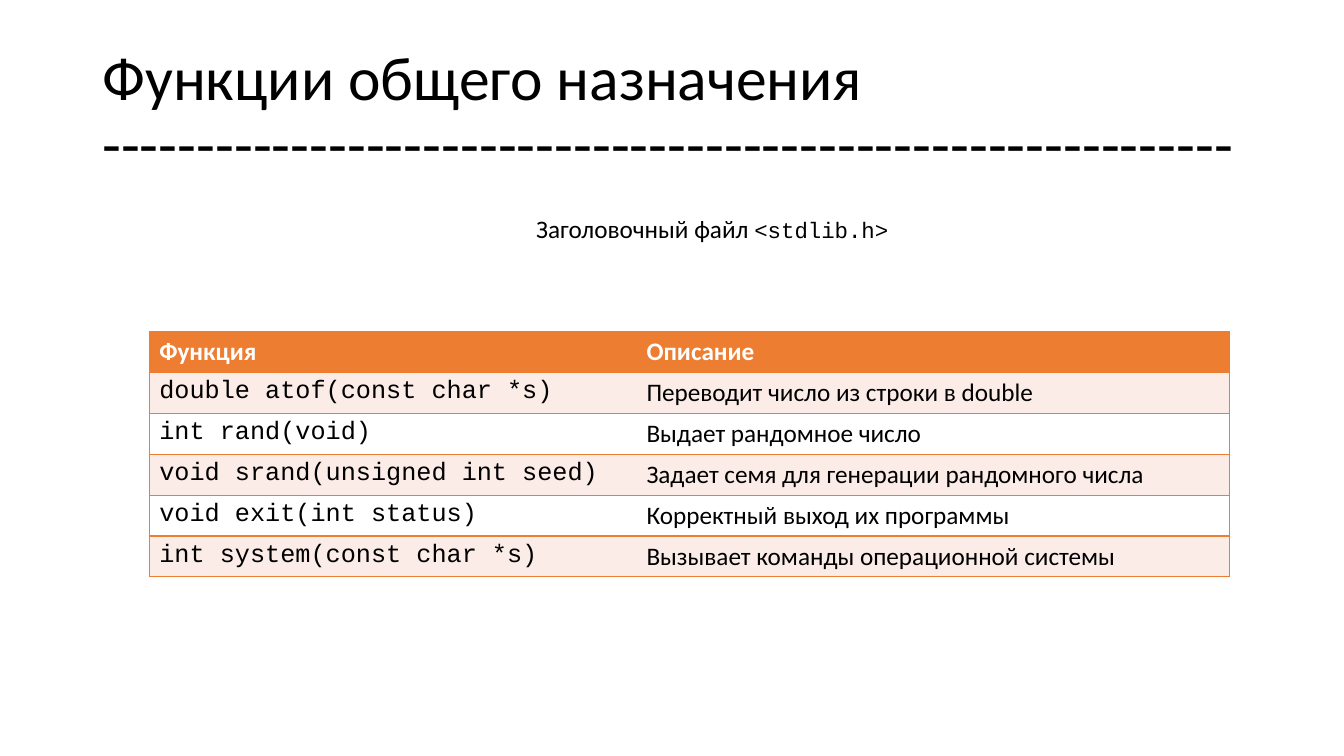
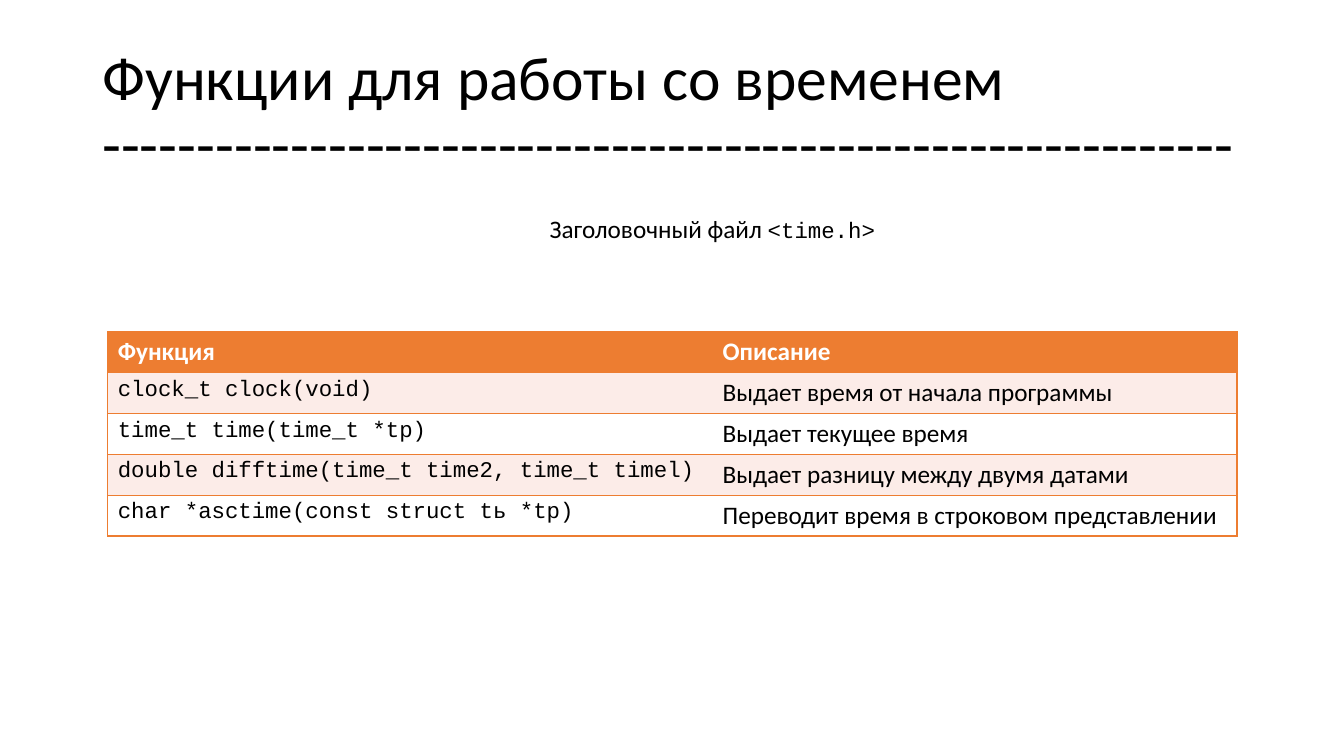
"""Two slides listing C library functions, each with a titled table."""
from dataclasses import dataclass

from lxml.etree import fromstring
from pptx import Presentation
from pptx.dml.color import RGBColor
from pptx.enum.text import MSO_ANCHOR, PP_ALIGN
from pptx.util import Pt

PAGES = [
    {
        "title": "Функции общего назначения",
        "file": "<stdlib.h> ",
        "left": 106.6,
        "cols": (348, 423.6),
        "code": 18,
        "rows": [
            ("double atof(const char *s)", "Переводит число из строки в double"),
            ("int rand(void)", "Выдает рандомное число"),
            ("void srand(unsigned int seed)", "Задает семя для генерации рандомного числа"),
            ("void exit(int status)", "Корректный выход их программы"),
            ("int system(const char *s)", "Вызывает команды операционной системы"),
        ],
    },
    {
        "title": "Функции для работы со временем",
        "file": "<time.h> ",
        "left": 77,
        "cols": (432, 374.6),
        "code": 16,
        "rows": [
            ("clock_t clock(void)", "Выдает время от начала программы"),
            ("time_t time(time_t *tp)", "Выдает текущее время"),
            ("double difftime(time_t time2, time_t timel)", "Выдает разницу между двумя датами"),
            ("char *asctime(const struct tь *tp)", "Переводит время в строковом представлении"),
        ],
    },
]
HEAD = ("Функция", "Описание")
LABEL = "Заголовочный файл "
RULE = "-" * 60
TITLE_BOX = (66, 28.8, 828, 104.4)
LABEL_BOX = (273.6, 149, 480, 29)
TABLE_TOP, ROW_H = 236.9, 29.2
NO_STYLE = "{2D5ABB26-0587-4C30-8999-92F81FD0307C}"
NS = "http://schemas.openxmlformats.org/drawingml/2006/main"


@dataclass(frozen=True)
class Theme:
    """Colours, fonts and type sizes."""
    ink: str = "000000"
    paper: str = "FFFFFF"
    accent: str = "ED7D31"
    tint: str = "FCECE8"
    sans: str = "Calibri"
    mono: str = "Courier New"
    title: int = 44
    body: int = 18
    code: int = 16
    line: int = 1


T = Theme()


def style(run, size, face=T.sans, color=T.ink, bold=False):
    """Format one run."""
    font = run.font
    font.size, font.name, font.bold = Pt(size), face, bold
    font.color.rgb = RGBColor.from_string(color)


def add_text(slide, box):
    """Add a wrapping text box and return its frame."""
    frame = slide.shapes.add_textbox(*map(Pt, box)).text_frame
    frame.word_wrap = True
    return frame


def add_title(slide, text):
    """Add the title with its dashed rule below."""
    frame = add_text(slide, TITLE_BOX)
    frame.vertical_anchor = MSO_ANCHOR.MIDDLE
    frame.text = f"{text}\v{RULE}"
    par = frame.paragraphs[0]
    par.line_spacing = 0.9
    for run in par.runs:
        style(run, T.title)


def add_label(slide, name):
    """Add the centred header file line."""
    par = add_text(slide, LABEL_BOX).paragraphs[0]
    par.alignment = PP_ALIGN.CENTER
    for text, size, face in ((LABEL, T.body, T.sans), (name, T.code, T.mono)):
        run = par.add_run()
        run.text = text
        style(run, size, face)


def add_edges(cell, sides):
    """Draw accent lines on the given sides of a cell."""
    for i, side in enumerate(sides):
        edge = fromstring(
            f'<a:ln{side} xmlns:a="{NS}" w="{Pt(T.line)}"><a:solidFill>'
            f'<a:srgbClr val="{T.accent}"/></a:solidFill></a:ln{side}>')
        cell._tc.get_or_add_tcPr().insert(i, edge)


def add_grid(slide, page):
    """Add the table of functions."""
    rows = [HEAD, *page["rows"]]
    cols = page["cols"]
    box = (page["left"], TABLE_TOP, sum(cols), ROW_H * len(rows))
    table = slide.shapes.add_table(len(rows), len(cols), *map(Pt, box)).table
    table.horz_banding = False
    table._tbl.tblPr.find(f"{{{NS}}}tableStyleId").text = NO_STYLE
    for col, width in zip(table.columns, cols):
        col.width = Pt(width)
    for r, row in enumerate(rows):
        table.rows[r].height = Pt(ROW_H)
        fill = T.accent if r == 0 else (T.paper, T.tint)[r % 2]
        for c, text in enumerate(row):
            cell = table.cell(r, c)
            cell.text = text
            run = cell.text_frame.paragraphs[0].runs[0]
            if r == 0:
                style(run, T.body, color=T.paper, bold=True)
            elif c == 0:
                style(run, page["code"], T.mono)
            else:
                style(run, T.body)
            cell.fill.solid()
            cell.fill.fore_color.rgb = RGBColor.from_string(fill)
            add_edges(cell, ("LTB", "RTB")[c])


deck = Presentation()
deck.slide_width, deck.slide_height = Pt(960), Pt(540)
for page in PAGES:
    slide = deck.slides.add_slide(deck.slide_layouts[6])
    add_title(slide, page["title"])
    add_label(slide, page["file"])
    add_grid(slide, page)
deck.save("out.pptx")
